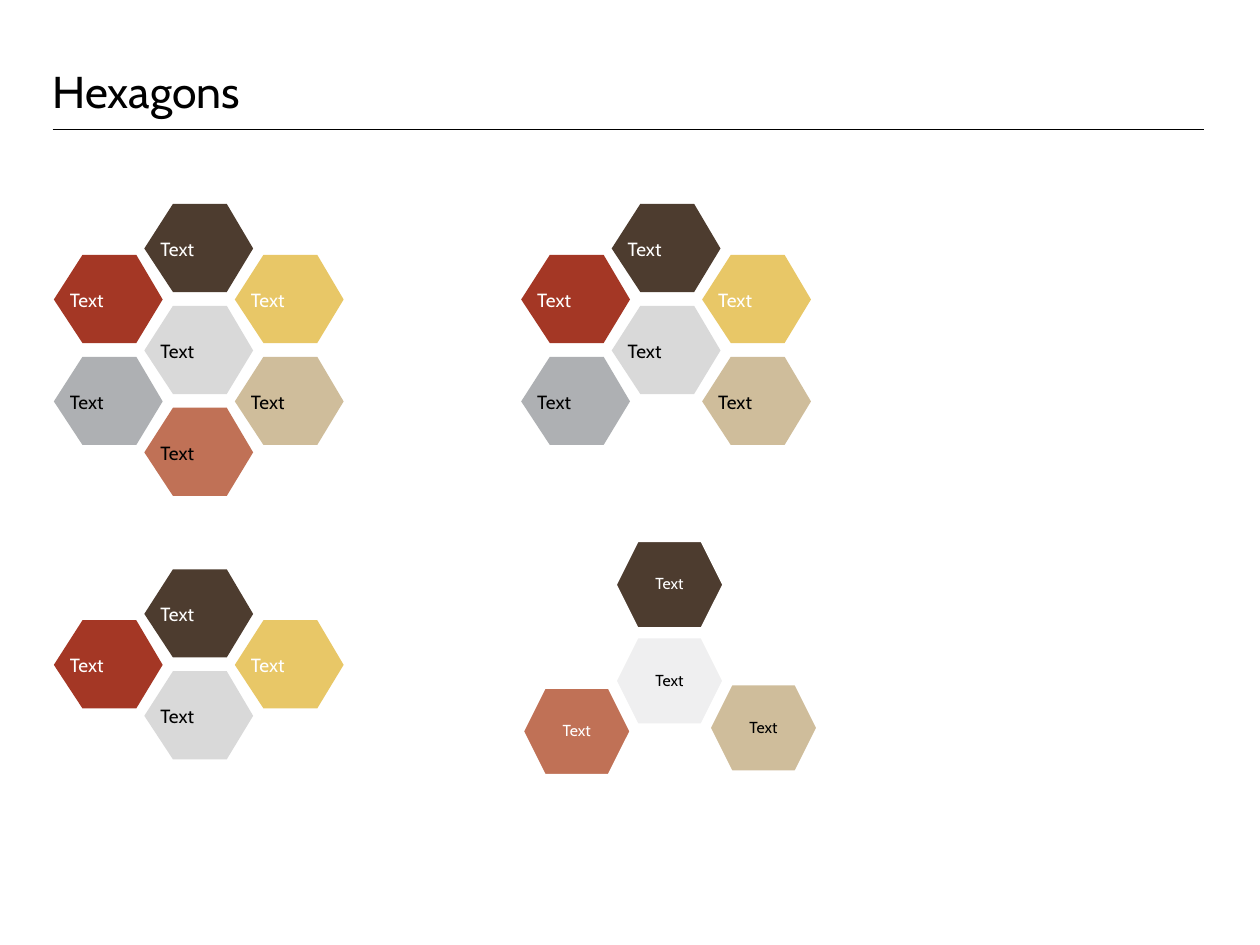
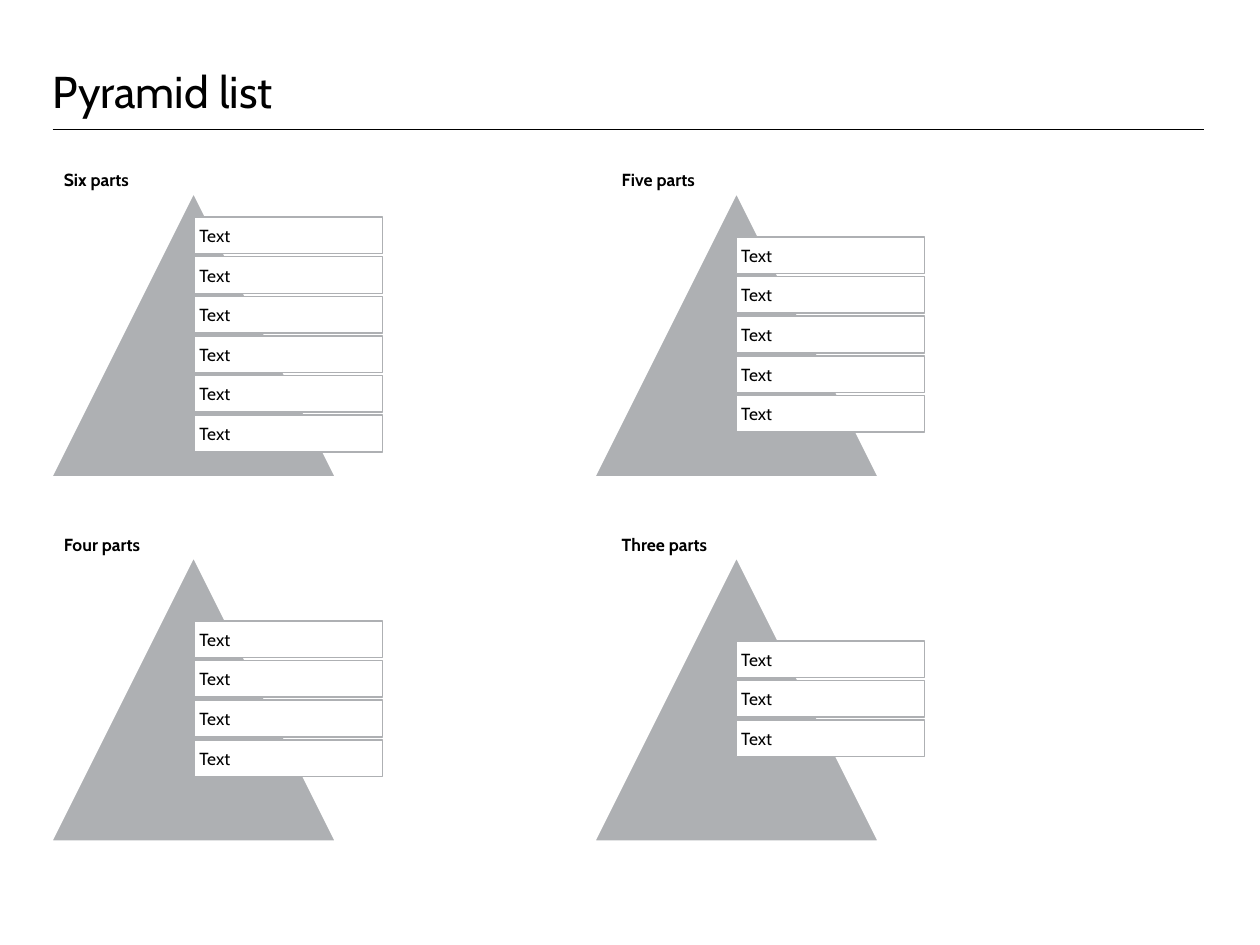
from dataclasses import dataclass
from typing import Optional

from pptx import Presentation
from pptx.dml.color import RGBColor
from pptx.enum.shapes import MSO_CONNECTOR as Connector, MSO_SHAPE as Preset
from pptx.enum.text import MSO_ANCHOR as Anchor, MSO_AUTO_SIZE as AutoSize, PP_ALIGN as Align
from pptx.oxml.ns import qn
from pptx.util import Inches, Pt
from lxml.etree import SubElement

BLACK = RGBColor(0x00, 0x00, 0x00)
WHITE = RGBColor(0xFF, 0xFF, 0xFF)
BROWN = RGBColor(0x4D, 0x3C, 0x2F)
RED = RGBColor(0xA4, 0x37, 0x25)
YELLOW = RGBColor(0xE8, 0xC7, 0x67)
SILVER = RGBColor(0xD9, 0xD9, 0xD9)
GREY = RGBColor(0xAE, 0xB0, 0xB3)
TAN = RGBColor(0xCF, 0xBD, 0x9B)
COPPER = RGBColor(0xC0, 0x71, 0x56)
PALE = RGBColor(0xEF, 0xEF, 0xF0)
FONT = "Cabin"

MARGIN = 0.46
CONTENT_WIDTH = 10.05
HEX_WIDTH, HEX_HEIGHT = 0.95, 0.77
HEX_COLUMN, HEX_ROW = 0.79, 0.89 / 2
HEX_OUTLINE = [(0.25, 0), (0.72, 0), (0.95, 0.39), (0.72, 0.77), (0.25, 0.77), (0, 0.39)]
TRIANGLE_SIZE = 2.5
BAR_WIDTH, BAR_HEIGHT, BAR_PITCH = 1.64, 0.32, 1.73 / 5


@dataclass(frozen=True)
class TextStyle:
    size: float
    color: RGBColor = BLACK
    bold: bool = False
    align: Align = Align.LEFT
    anchor: Anchor = Anchor.MIDDLE
    inset_x: float = 0
    inset_y: float = 0
    line_spacing: Optional[float] = None
    space_before: float = 0


@dataclass(frozen=True)
class Cell:
    column: int
    row: int
    fill: RGBColor
    color: RGBColor


@dataclass(frozen=True)
class Cluster:
    left: float
    top: float
    cells: list[Cell]


@dataclass(frozen=True)
class LooseHexagon:
    left: float
    top: float
    fill: RGBColor
    color: RGBColor


@dataclass(frozen=True)
class Pyramid:
    heading: str
    heading_left: float
    left: float
    top: float
    bar_left: float
    bars: int


TITLE = TextStyle(28, anchor=Anchor.BOTTOM, line_spacing=Pt(32))
HEADING = TextStyle(11, bold=True, anchor=Anchor.TOP, inset_x=0.1, inset_y=0.05, space_before=6.6)
BAR_TEXT = TextStyle(11, inset_x=0.04, inset_y=0.04, space_before=5.5)

FOUR_CELLS = [
    Cell(1, 0, BROWN, WHITE),
    Cell(0, 1, RED, WHITE),
    Cell(2, 1, YELLOW, WHITE),
    Cell(1, 2, SILVER, BLACK),
]
SIX_CELLS = FOUR_CELLS + [Cell(0, 3, GREY, BLACK), Cell(2, 3, TAN, BLACK)]
SEVEN_CELLS = SIX_CELLS + [Cell(1, 4, COPPER, BLACK)]

CLUSTERS = [
    Cluster(0.47, 1.78, SEVEN_CELLS),
    Cluster(4.55, 1.78, SIX_CELLS),
    Cluster(0.47, 4.97, FOUR_CELLS),
]
LOOSE_HEXAGONS = [
    LooseHexagon(5.37, 5.56, PALE, BLACK),
    LooseHexagon(5.37, 4.72, BROWN, WHITE),
    LooseHexagon(6.19, 5.97, TAN, BLACK),
    LooseHexagon(4.56, 6, COPPER, WHITE),
]
PYRAMIDS = [
    Pyramid("Six parts", 0.46, 0.44, 1.67, 1.7, 6),
    Pyramid("Five parts", 5.33, 5.18, 1.67, 6.43, 5),
    Pyramid("Four parts", 0.46, 0.44, 4.85, 1.7, 4),
    Pyramid("Three parts", 5.33, 5.18, 4.85, 6.43, 3),
]


def write_text(shape, text: str, style: TextStyle) -> None:
    frame = shape.text_frame
    frame.word_wrap = True
    frame.vertical_anchor = style.anchor
    frame.margin_left = frame.margin_right = Inches(style.inset_x)
    frame.margin_top = frame.margin_bottom = Inches(style.inset_y)
    para = frame.paragraphs[0]
    para.alignment = style.align
    para.line_spacing = style.line_spacing
    para.space_before = Pt(style.space_before)
    span = para.add_run()
    span.text = text
    span.font.name = FONT
    span.font.size = Pt(style.size)
    span.font.bold = style.bold
    span.font.color.rgb = style.color


def add_text(page, left: float, top: float, width: float, height: float,
             text: str, style: TextStyle):
    box = page.shapes.add_textbox(Inches(left), Inches(top), Inches(width), Inches(height))
    write_text(box, text, style)
    return box


def paint(shape, fill: RGBColor, line: Optional[RGBColor] = None, weight: float = 1) -> None:
    shape.shadow.inherit = False
    shape.fill.solid()
    shape.fill.fore_color.rgb = fill
    if line is None:
        shape.line.fill.background()
    else:
        shape.line.color.rgb = line
        shape.line.width = Pt(weight)


def add_preset(page, preset: Preset, left: float, top: float, width: float, height: float,
               fill: RGBColor, line: RGBColor, weight: float):
    shape = page.shapes.add_shape(preset, Inches(left), Inches(top), Inches(width), Inches(height))
    paint(shape, fill, line, weight)
    return shape


def add_page(deck, title: str):
    page = deck.slides.add_slide(deck.slide_layouts[6])
    rule = page.shapes.add_connector(Connector.STRAIGHT, Inches(MARGIN), Inches(1.13),
                                     Inches(MARGIN + CONTENT_WIDTH), Inches(1.13))
    rule.line.color.rgb = BLACK
    rule.line.width = Pt(0.75)
    SubElement(rule._element.spPr, qn("a:effectLst"))
    add_text(page, MARGIN, 0, CONTENT_WIDTH, 1.03, title, TITLE)
    return page


def draw_cluster(page, cluster: Cluster) -> None:
    for cell in cluster.cells:
        left = cluster.left + cell.column * HEX_COLUMN
        top = cluster.top + cell.row * HEX_ROW
        points = [(Inches(left + x), Inches(top + y)) for x, y in HEX_OUTLINE]
        builder = page.shapes.build_freeform(*points[0])
        builder.add_line_segments(points[1:], close=True)
        paint(builder.convert_to_shape(), cell.fill)
        label = add_text(page, left + 0.14, top + 0.34, 0.67, 0.1, "Text",
                         TextStyle(12, cell.color, space_before=7.8))
        label.text_frame.auto_size = AutoSize.SHAPE_TO_FIT_TEXT


def draw_loose_hexagon(page, item: LooseHexagon) -> None:
    shape = add_preset(page, Preset.HEXAGON, item.left, item.top, HEX_WIDTH, HEX_HEIGHT,
                       item.fill, WHITE, 2)
    write_text(shape, "Text", TextStyle(10, item.color, align=Align.CENTER, inset_x=0.1,
                                        inset_y=0.1, line_spacing=0.9))


def draw_pyramid(page, pyramid: Pyramid) -> None:
    add_preset(page, Preset.ISOSCELES_TRIANGLE, pyramid.left, pyramid.top,
               TRIANGLE_SIZE, TRIANGLE_SIZE, GREY, WHITE, 2)
    add_text(page, pyramid.heading_left, pyramid.top - 0.24, 3.14, 0.39, pyramid.heading, HEADING)
    stack_height = (pyramid.bars - 1) * BAR_PITCH + BAR_HEIGHT
    first_top = pyramid.top + (TRIANGLE_SIZE - stack_height) / 2
    for index in range(pyramid.bars):
        bar = add_preset(page, Preset.RECTANGLE, pyramid.bar_left, first_top + index * BAR_PITCH,
                         BAR_WIDTH, BAR_HEIGHT, WHITE, GREY, 1)
        write_text(bar, "Text", BAR_TEXT)


def main() -> None:
    deck = Presentation()
    deck.slide_width = Inches(11)
    deck.slide_height = Inches(8.25)

    hexagon_page = add_page(deck, "Hexagons")
    for item in LOOSE_HEXAGONS:
        draw_loose_hexagon(hexagon_page, item)
    for cluster in CLUSTERS:
        draw_cluster(hexagon_page, cluster)

    pyramid_page = add_page(deck, "Pyramid list")
    for pyramid in PYRAMIDS:
        draw_pyramid(pyramid_page, pyramid)

    deck.save("out.pptx")


if __name__ == "__main__":
    main()
